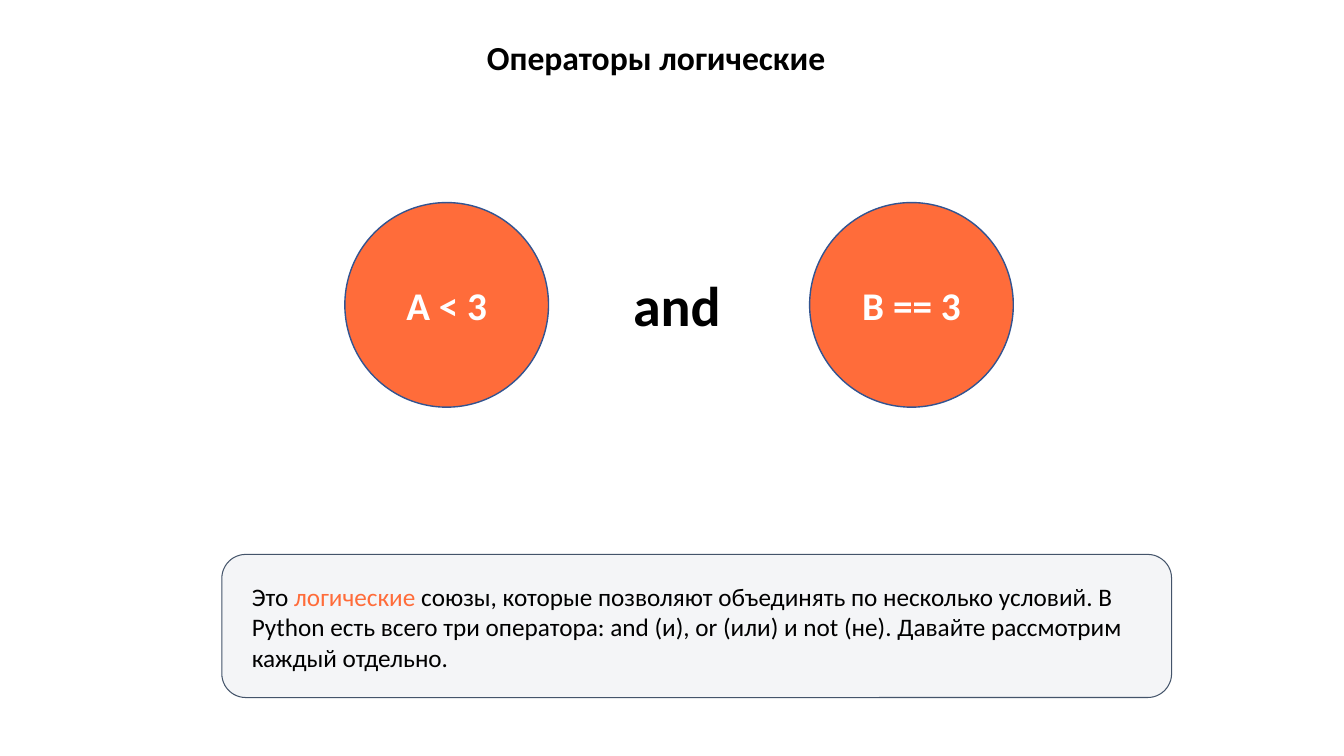
import pptx
import pptx.dml.color
import pptx.enum.shapes
import pptx.enum.text
import pptx.util

Inches = pptx.util.Inches
Pt = pptx.util.Pt
Shape = pptx.enum.shapes.MSO_SHAPE
Align = pptx.enum.text.PP_ALIGN
Anchor = pptx.enum.text.MSO_ANCHOR

ORANGE = "FF6C3A"


def color(code):
    return pptx.dml.color.RGBColor.from_string(code)


def style(para, size, code, bold=False):
    font = para.font
    font.name = "Calibri"
    font.size = Pt(size)
    font.bold = bold
    font.color.rgb = color(code)


def add_text(shapes, box, parts, size, bold=False, wrap=False):
    frame = shapes.add_textbox(*map(Inches, box)).text_frame
    frame.word_wrap = wrap
    para = frame.paragraphs[0]
    style(para, size, "000000", bold)
    for text, code in parts:
        run = para.add_run()
        run.text = text
        if code:
            run.font.color.rgb = color(code)


def add_form(shapes, kind, box, fill, line, width):
    form = shapes.add_shape(kind, *map(Inches, box))
    form.shadow.inherit = False
    form.fill.solid()
    form.fill.fore_color.rgb = color(fill)
    form.line.color.rgb = color(line)
    form.line.width = Pt(width)
    return form


def add_note(slide, box):
    left, top, width, height = box
    group = slide.shapes.add_group_shape().shapes
    panel = add_form(group, Shape.ROUNDED_RECTANGLE, box, "F4F5F7", "44546A", 0.75)
    panel.adjustments[0] = 0.167
    parts = [
        ("Это ", None),
        ("логические ", ORANGE),
        ("союзы, которые позволяют объединять по несколько условий. "
         "В Python есть всего три оператора: and (и), or (или) и not (не). "
         "Давайте рассмотрим каждый отдельно.", None),
    ]
    add_text(group, (left + 0.2, top + 0.22, width - 0.16, height - 0.11),
             parts, 18, wrap=True)


def add_terms(slide, box):
    left, top, width, height = box
    size = 2.02
    add_text(slide.shapes, (left + 2.76, top + 0.62, 1.11, 0.77),
             [("and", None)], 40, bold=True)
    group = slide.shapes.add_group_shape().shapes
    for text, x in (("A < 3", left), ("B == 3", left + width - size)):
        disc = add_form(group, Shape.OVAL, (x, top, size, height),
                        ORANGE, "325491", 1)
        frame = disc.text_frame
        frame.vertical_anchor = Anchor.MIDDLE
        para = frame.paragraphs[0]
        para.text = text
        para.alignment = Align.CENTER
        style(para, 28, "FFFFFF", True)


def main():
    deck = pptx.Presentation()
    deck.slide_width = Inches(13.33)
    deck.slide_height = Inches(7.5)
    slide = deck.slides.add_slide(deck.slide_layouts[6])
    add_text(slide.shapes, (4.73, 0.32, 3.62, 0.5),
             [("Операторы логические", None)], 24, bold=True)
    add_note(slide, (2.2, 5.5, 9.42, 1.42))
    add_terms(slide, (3.42, 2.01, 6.63, 2.03))
    deck.save("out.pptx")


if __name__ == "__main__":
    main()
